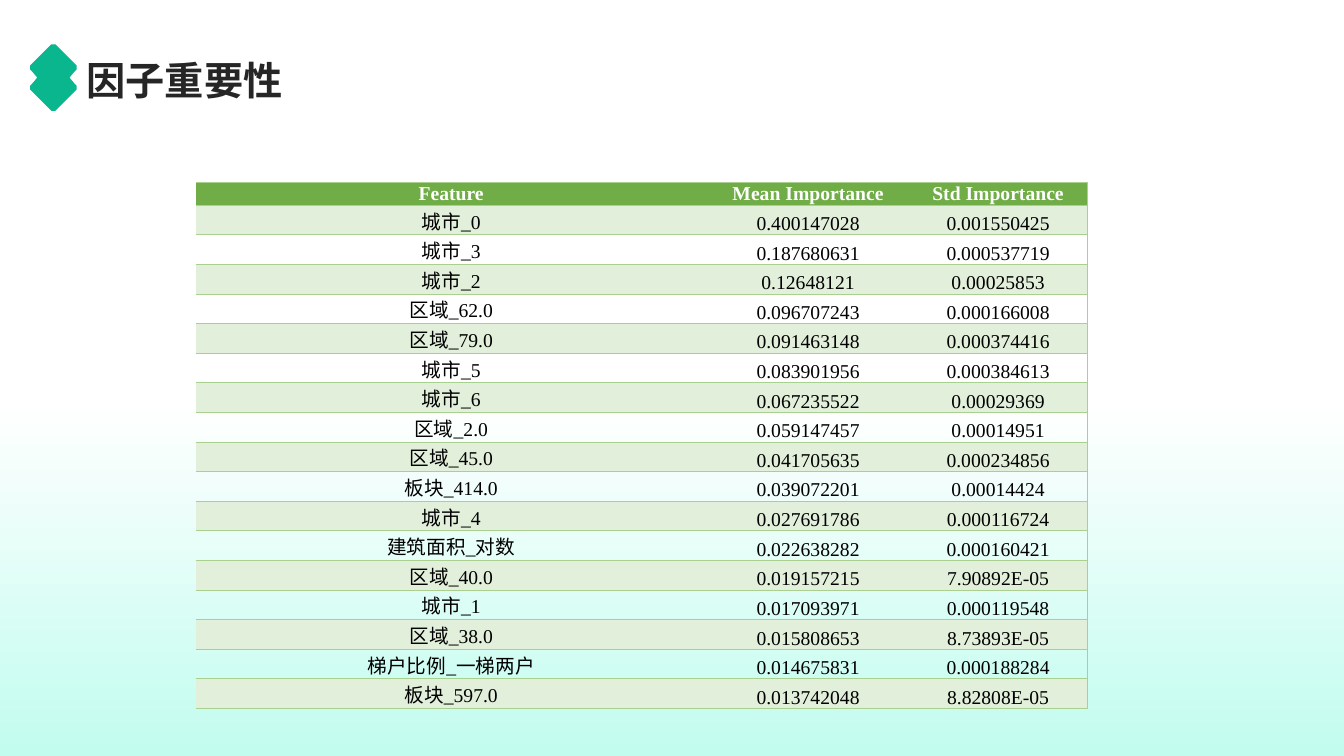
from lxml import etree
from pptx import Presentation
from pptx import util as u
from pptx.dml.color import RGBColor
from pptx.enum import shapes, text
from pptx.oxml.ns import qn

HUES = {
    "white": "FFFFFF", "mint": "C2FCEF", "teal": "09B68E", "title": "262626",
    "head": "70AD47", "band": "E2EFDA", "rule": "A9D08E", "black": "000000",
}
FONT = "Times New Roman"
NO_STYLE = "{2D5ABB26-0587-4C30-8999-92F81FD0307C}"
ROWS = [
    ("Feature", "Mean Importance", "Std Importance"),
    ("城市_0", "0.400147028", "0.001550425"),
    ("城市_3", "0.187680631", "0.000537719"),
    ("城市_2", "0.12648121", "0.00025853"),
    ("区域_62.0", "0.096707243", "0.000166008"),
    ("区域_79.0", "0.091463148", "0.000374416"),
    ("城市_5", "0.083901956", "0.000384613"),
    ("城市_6", "0.067235522", "0.00029369"),
    ("区域_2.0", "0.059147457", "0.00014951"),
    ("区域_45.0", "0.041705635", "0.000234856"),
    ("板块_414.0", "0.039072201", "0.00014424"),
    ("城市_4", "0.027691786", "0.000116724"),
    ("建筑面积_对数", "0.022638282", "0.000160421"),
    ("区域_40.0", "0.019157215", "7.90892E-05"),
    ("城市_1", "0.017093971", "0.000119548"),
    ("区域_38.0", "0.015808653", "8.73893E-05"),
    ("梯户比例_一梯两户", "0.014675831", "0.000188284"),
    ("板块_597.0", "0.013742048", "8.82808E-05"),
]


def hue(name):
    return RGBColor.from_string(HUES[name])


def add_run(para, words, size, color, bold):
    run = para.add_run()
    run.text = words
    run.font.name = FONT
    run.font.size = u.Pt(size)
    run.font.bold = bold
    run.font.color.rgb = hue(color)


deck = Presentation()
deck.slide_width = u.Inches(13.33)
deck.slide_height = u.Inches(7.5)
slide = deck.slides.add_slide(deck.slide_layouts[5])

# Backdrop, sent behind the title
back = slide.shapes.add_shape(
    shapes.MSO_SHAPE.RECTANGLE, 0, 0, deck.slide_width, deck.slide_height)
back.shadow.inherit = False
back.line.fill.background()
back.fill.gradient()
back.fill.gradient_angle = 270
for stop, (place, name) in zip(back.fill.gradient_stops, [(0.53, "white"), (1, "mint")]):
    stop.position = place
    stop.color.rgb = hue(name)
slide.shapes.title._element.addprevious(back._element)

# Importance table
frame = slide.shapes.add_table(
    len(ROWS), 3, u.Inches(1.94), u.Inches(1.81), u.Inches(8.84), u.Inches(4.29))
table = frame.table
table.first_row = table.horz_banding = False
table._tbl.tblPr.find(qn("a:tableStyleId")).text = NO_STYLE
for col, width in zip(table.columns, [5.07, 2.01, 1.76]):
    col.width = u.Inches(width)

for r, row in enumerate(ROWS):
    table.rows[r].height = u.Inches(0.21)
    for c, words in enumerate(row):
        cell = table.cell(r, c)
        cell.margin_left = cell.margin_right = cell.margin_top = u.Inches(0.01)
        cell.margin_bottom = 0
        cell.vertical_anchor = text.MSO_ANCHOR.BOTTOM
        props = cell._tc.get_or_add_tcPr()
        for side in ["lnR", "lnT", "lnB"] if c == 2 else ["lnT", "lnB"]:
            line = etree.SubElement(props, qn("a:" + side), w=str(u.Pt(0.5)))
            solid = etree.SubElement(line, qn("a:solidFill"))
            etree.SubElement(solid, qn("a:srgbClr"), val=HUES["rule"])
        if r and r % 2 == 0:
            cell.fill.background()
        else:
            cell.fill.solid()
            cell.fill.fore_color.rgb = hue("band" if r else "head")
        para = cell.text_frame.paragraphs[0]
        para.alignment = text.PP_ALIGN.CENTER
        add_run(para, words, 14, "black" if r else "white", r == 0)

# Title
title = slide.shapes.title
title.left, title.top = u.Inches(0.86), u.Inches(0.51)
title.width, title.height = u.Inches(11.67), u.Inches(0.51)
box = title.text_frame
box.margin_left = box.margin_right = box.margin_top = box.margin_bottom = 0
box.vertical_anchor = text.MSO_ANCHOR.MIDDLE
box.word_wrap = True
para = box.paragraphs[0]
para.alignment = text.PP_ALIGN.LEFT
para.line_spacing = 1.1
add_run(para, "因子重要性", 28, "title", True)

# Double diamond: one quarter, in hundredths of an inch, mirrored both ways
quarter = [(0, -33), (2, -33), (4, -31), (21, -14), (23, -12),
           (23, -8), (21, -6), (16, 0)]
half = quarter + [(x, -y) for x, y in quarter[-2::-1]]
ring = half + [(-x, y) for x, y in half[-2:0:-1]]
pen = slide.shapes.build_freeform(*ring[0], scale=u.Inches(0.01))
pen.add_line_segments(ring[1:], close=True)
icon = pen.convert_to_shape(u.Inches(0.53), u.Inches(0.77))
icon.shadow.inherit = False
icon.fill.solid()
icon.fill.fore_color.rgb = hue("teal")
icon.line.fill.background()

deck.save("out.pptx")
